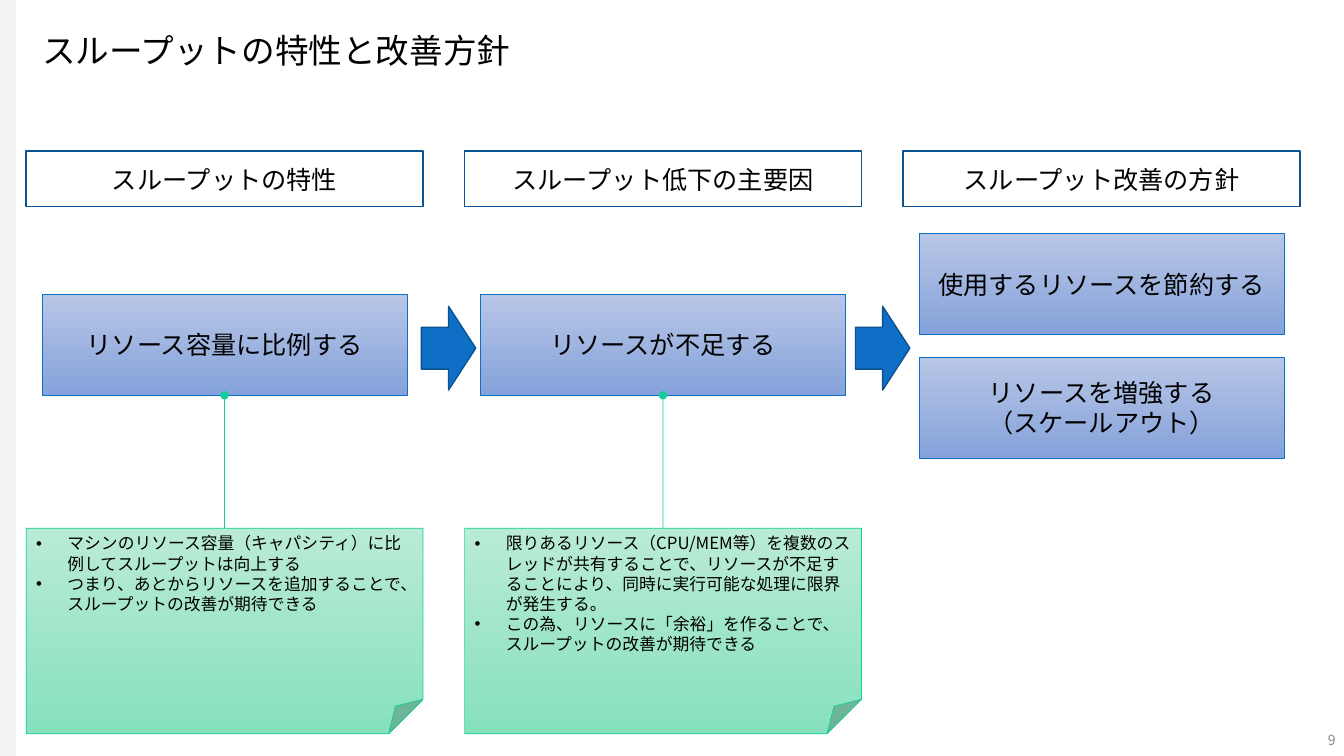
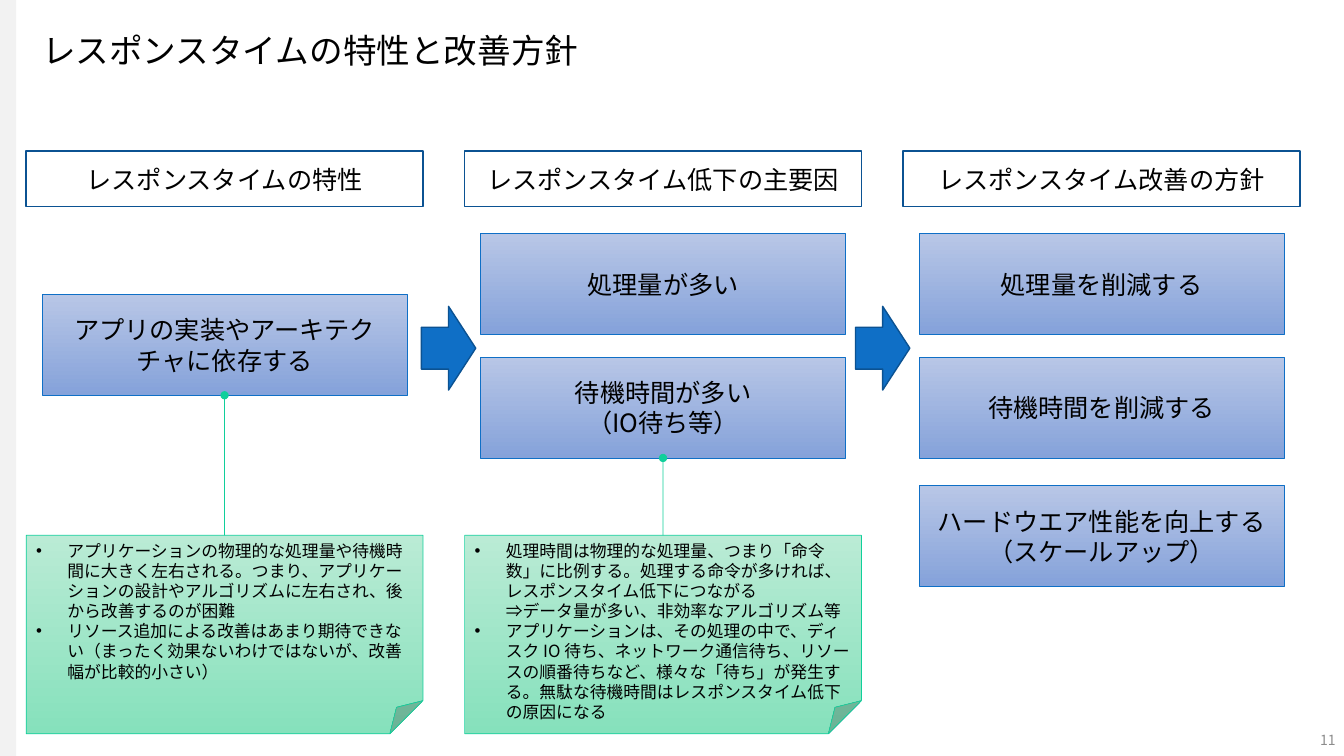
from lxml import etree
from pptx import Presentation
from pptx.dml.color import RGBColor
from pptx.enum.shapes import MSO_CONNECTOR, MSO_SHAPE
from pptx.enum.text import MSO_ANCHOR, PP_ALIGN
from pptx.oxml.ns import qn
from pptx.util import Cm, Pt

RECT, ARROW, FOLDED = MSO_SHAPE.RECTANGLE, MSO_SHAPE.RIGHT_ARROW, MSO_SHAPE.FOLDED_CORNER
STRAIGHT = MSO_CONNECTOR.STRAIGHT
TOP, MIDDLE = MSO_ANCHOR.TOP, MSO_ANCHOR.MIDDLE
LEFT, CENTER, RIGHT = PP_ALIGN.LEFT, PP_ALIGN.CENTER, PP_ALIGN.RIGHT

# Shared style
FONT = "Noto Sans CJK JP"
BLACK, GREY, BAND = "000000", "8C8C8C", "F2F2F2"
BLUE, NAVY, GREEN = "0F6FC6", "0B5292", "10CF9B"
BLUES, GREENS = ("B8C6E6", "85A2DA"), ("BAEBD5", "86E1BC")

# Column grid, in cm
WIDE, HIGH = 33.87, 19.05
EDGE, PITCH, COL = 0.66, 11.05, 10.0
BOX, BOX_H = 9.2, 2.54
HIGH_ROW, MID_ROW, LOW_ROW, LAST_ROW = 5.89, 7.42, 9.0, 12.24
NOTE_END = 18.49


def color(text):
    return RGBColor.from_string(text)


def column(index, width=COL):
    """Left edge of an item centred in a column."""
    return EDGE + index * PITCH + (COL - width) / 2


class Deck:
    def __init__(self):
        self.prs = Presentation()
        self.prs.slide_width, self.prs.slide_height = Cm(WIDE), Cm(HIGH)
        self.slide = None

    def page(self, title, number):
        self.slide = self.prs.slides.add_slide(self.prs.slide_layouts[6])
        self.shape(RECT, 0, 0, 0.41, HIGH, BAND)
        head = self.label(0.81, 0.13, 32.23, 2.39, title, 24, BLACK, LEFT)
        head.paragraphs[0].line_spacing = 0.9
        foot = self.label(31.06, 18.24, 2.8, 0.81, number, 10, GREY, RIGHT)
        foot.margin_left = foot.margin_right = Cm(0.2)

    def shape(self, kind, x, y, w, h, fill=None, line=None, weight=1):
        shape = self.slide.shapes.add_shape(kind, Cm(x), Cm(y), Cm(w), Cm(h))
        shape.shadow.inherit = False
        if isinstance(fill, tuple):
            shape.fill.gradient()
            shape.fill.gradient_angle = 270
            for stop, shade in zip(shape.fill.gradient_stops, fill):
                stop.color.rgb = color(shade)
        elif fill:
            shape.fill.solid()
            shape.fill.fore_color.rgb = color(fill)
        else:
            shape.fill.background()
        if line:
            shape.line.color.rgb = color(line)
            shape.line.width = Pt(weight)
        else:
            shape.line.fill.background()
        return shape

    def text(self, frame, lines, size, tint=BLACK, align=CENTER, bullet=False):
        frame.word_wrap = True
        frame.vertical_anchor = TOP if bullet else MIDDLE
        for index, line in enumerate(lines):
            para = frame.add_paragraph() if index else frame.paragraphs[0]
            para.text = line
            para.alignment = align
            if bullet:
                self.bullet(para)
            font = para.font
            font.size, font.name = Pt(size), FONT
            font.color.rgb = color(tint)
            props = para._p.pPr.find(qn("a:defRPr"))
            etree.SubElement(props, qn("a:ea"), typeface=FONT)

    def bullet(self, para):
        props = para._p.get_or_add_pPr()
        props.set("marL", str(Cm(0.79)))
        props.set("indent", str(-Cm(0.79)))
        etree.SubElement(props, qn("a:buFont"), typeface="Arial")
        etree.SubElement(props, qn("a:buChar"), char="•")

    def label(self, x, y, w, h, text, size, tint, align):
        box = self.slide.shapes.add_textbox(Cm(x), Cm(y), Cm(w), Cm(h))
        self.text(box.text_frame, [text], size, tint, align)
        return box.text_frame

    def header(self, col, text):
        shape = self.shape(RECT, column(col), 3.81, COL, 1.4, line=NAVY)
        self.text(shape.text_frame, [text], 18)

    def arrow(self, x):
        self.shape(ARROW, x, 7.72, 1.37, 2.11, BLUE, NAVY)

    def box(self, col, y, *lines):
        shape = self.shape(RECT, column(col, BOX), y, BOX, BOX_H, BLUES, BLUE, 0.5)
        self.text(shape.text_frame, lines, 18)
        return shape

    def note(self, col, y, box, lines):
        shape = self.shape(FOLDED, column(col), y, COL, NOTE_END - y, GREENS, GREEN, 0.5)
        self.text(shape.text_frame, lines, 12, align=LEFT, bullet=True)
        self.link(shape, box)

    def link(self, note, box):
        wire = self.slide.shapes.add_connector(STRAIGHT, 0, 0, 0, 0)
        wire.begin_connect(note, 0)
        wire.end_connect(box, 2)
        wire.line.color.rgb = color(GREEN)
        wire.line.width = Pt(0.5)
        props = wire._element.spPr
        etree.SubElement(props.find(qn("a:ln")), qn("a:tailEnd"), type="oval")
        etree.SubElement(props, qn("a:effectLst"))

    def topic(self, name, number, boxes, note_top, notes):
        """One page: headers, arrows, boxes by column, and notes under the first columns."""
        self.page(f"{name}の特性と改善方針", number)
        for col, tail in enumerate(("の特性", "低下の主要因", "改善の方針")):
            self.header(col, name + tail)
        for x in (10.62, 21.56):
            self.arrow(x)
        last = {}
        for col, y, *lines in boxes:
            last[col] = self.box(col, y, *lines)
        for col, lines in enumerate(notes):
            self.note(col, note_top, last[col], lines)


def main():
    deck = Deck()

    # Throughput
    deck.topic(
        "スループット", "9",
        [
            (0, MID_ROW, "リソース容量に比例する"),
            (1, MID_ROW, "リソースが不足する"),
            (2, HIGH_ROW, "使用するリソースを節約する"),
            (2, LOW_ROW, "リソースを増強する", "（スケールアウト）"),
        ],
        13.31,
        [
            ["マシンのリソース容量（キャパシティ）に比例してスループットは向上する",
             "つまり、あとからリソースを追加することで、スループットの改善が期待できる"],
            ["限りあるリソース（CPU/MEM等）を複数のスレッドが共有することで、"
             "リソースが不足することにより、同時に実行可能な処理に限界が発生する。",
             "この為、リソースに「余裕」を作ることで、スループットの改善が期待できる"],
        ],
    )

    # Response time
    deck.topic(
        "レスポンスタイム", "11",
        [
            (0, MID_ROW, "アプリの実装やアーキテクチャに依存する"),
            (1, HIGH_ROW, "処理量が多い"),
            (1, LOW_ROW, "待機時間が多い", "（IO待ち等）"),
            (2, HIGH_ROW, "処理量を削減する"),
            (2, LOW_ROW, "待機時間を削減する"),
            (2, LAST_ROW, "ハードウエア性能を向上する", "（スケールアップ）"),
        ],
        13.49,
        [
            ["アプリケーションの物理的な処理量や待機時間に大きく左右される。つまり、"
             "アプリケーションの設計やアルゴリズムに左右され、後から改善するのが困難",
             "リソース追加による改善はあまり期待できない"
             "（まったく効果ないわけではないが、改善幅が比較的小さい）"],
            ["処理時間は物理的な処理量、つまり「命令数」に比例する。"
             "処理する命令が多ければ、レスポンスタイム低下につながる\n"
             "⇒データ量が多い、非効率なアルゴリズム等",
             "アプリケーションは、その処理の中で、ディスク IO 待ち、ネットワーク通信待ち、"
             "リソースの順番待ちなど、様々な「待ち」が発生する。"
             "無駄な待機時間はレスポンスタイム低下の原因になる"],
        ],
    )

    deck.prs.save("out.pptx")


if __name__ == "__main__":
    main()
